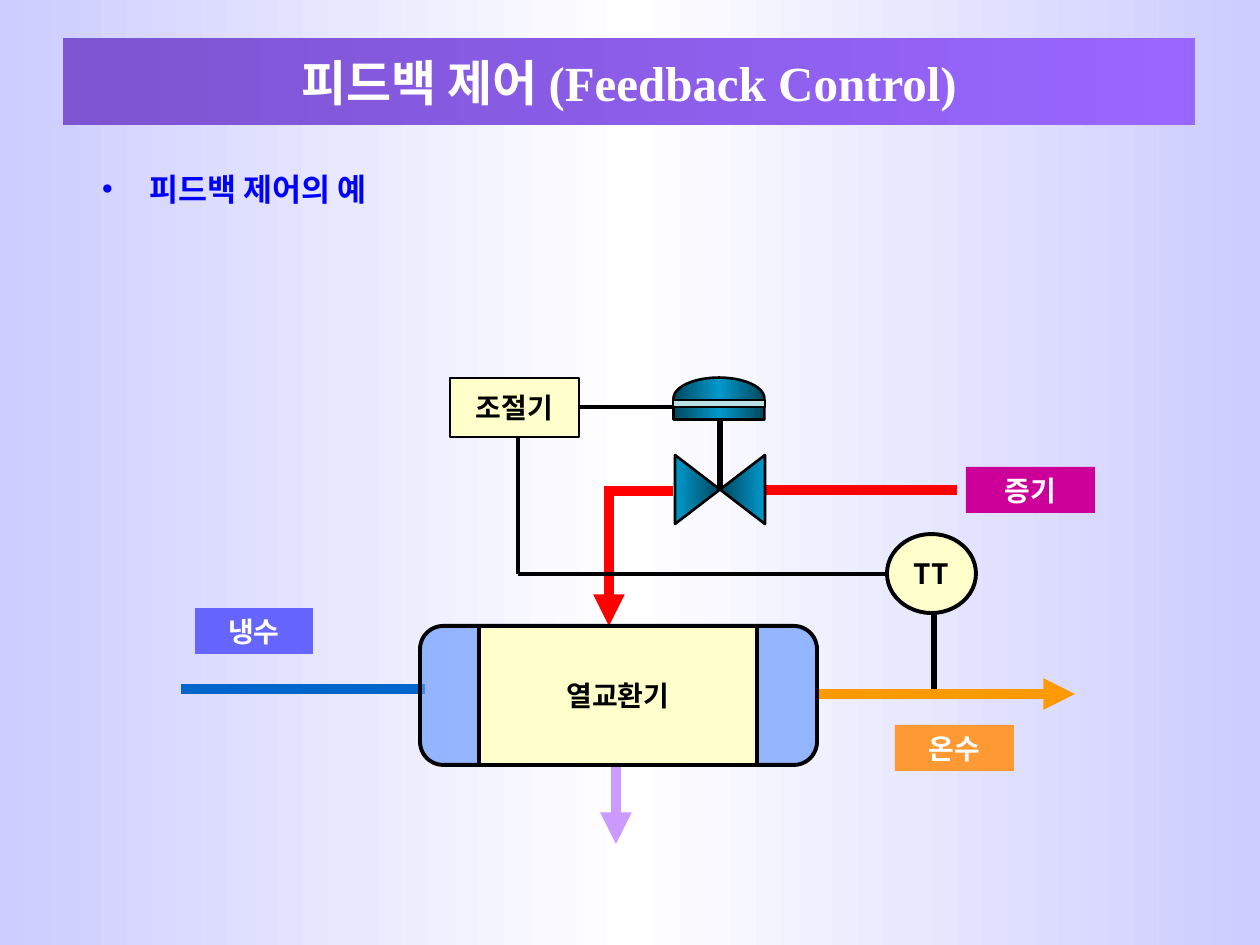
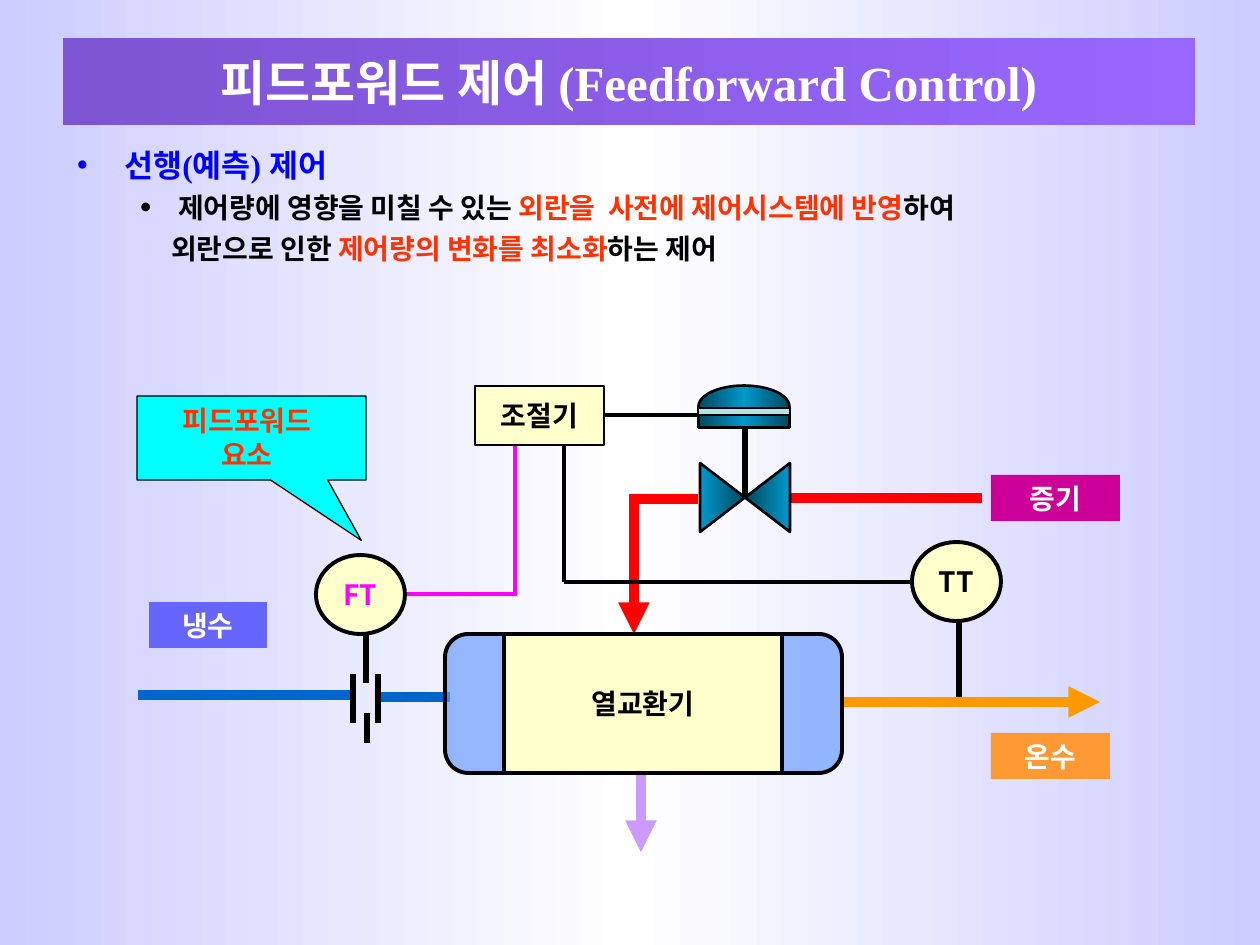
from typing import NamedTuple

from lxml import etree
from pptx import Presentation
from pptx.dml.color import RGBColor
from pptx.enum.shapes import MSO_CONNECTOR, MSO_SHAPE
from pptx.enum.text import MSO_ANCHOR, PP_ALIGN
from pptx.oxml.ns import qn
from pptx.util import Emu, Pt

RECT = MSO_SHAPE.RECTANGLE
OVAL = MSO_SHAPE.OVAL
TRIANGLE = MSO_SHAPE.ISOSCELES_TRIANGLE
DELAY = MSO_SHAPE.FLOWCHART_DELAY
VESSEL = MSO_SHAPE.FLOWCHART_ALTERNATE_PROCESS
CALLOUT = MSO_SHAPE.RECTANGULAR_CALLOUT
STRAIGHT = MSO_CONNECTOR.STRAIGHT
MIDDLE = MSO_ANCHOR.MIDDLE
CENTER, LEFT = PP_ALIGN.CENTER, PP_ALIGN.LEFT

PX_PER_INCH = 126
SANS, SERIF = "Noto Sans CJK KR", "Times New Roman"
COLORS = {
    "lavender": "CCCCFF", "white": "FFFFFF", "black": "000000",
    "band_dark": "7D54D1", "band_light": "9966FF", "blue": "0000FF",
    "accent": "FF3300", "cream": "FFFFCC", "head": "6699FF",
    "valve": "0099CC", "valve_dark": "00475E", "diaphragm": "BBE0E3",
    "steam": "FF0000", "cold": "0066CC", "hot": "FF9900", "drain": "CC99FF",
    "steam_tag": "CC0099", "cold_tag": "6666FF", "hot_tag": "FF9933",
    "magenta": "FF00FF", "cyan": "00FFFF",
}


class Pipe(NamedTuple):
    """A straight line, with an optional arrowhead at its end."""
    x1: int
    y1: int
    x2: int
    y2: int
    color: str = "black"
    width: float = 2.25
    arrow: bool = False


class Part(NamedTuple):
    """A preset shape; several fill colours make a gradient."""
    kind: int
    x: int
    y: int
    w: int
    h: int
    fills: tuple
    line: float = 0
    text: str = ""
    ink: str = "black"
    size: int = 16
    font: str = SANS
    angle: int = 0
    rotation: int = 0
    opacity: int = 100


class Para(NamedTuple):
    """A body paragraph of (text, colour) runs."""
    runs: tuple
    size: int
    margin: int
    indent: int
    before: float
    bullet: int = 0
    font: str = SANS


class Layout(NamedTuple):
    """What differs between the two control schemes."""
    title: str
    body_at: tuple
    paras: tuple
    shift: tuple
    signal_x: int
    cold_tag: tuple
    hot_tag: tuple
    pipes: tuple
    extras: tuple


def px(value: int) -> Emu:
    """Convert px to EMU."""
    return Emu(round(value * 914400 / PX_PER_INCH))


def rgb(name: str) -> RGBColor:
    """Look up a named colour."""
    return RGBColor.from_string(COLORS[name])


def sub(parent, tag: str, **attrs: str):
    """Append an XML element."""
    return etree.SubElement(parent, qn(tag), attrs)


def set_gradient(fill, element, names: tuple, angle: int) -> None:
    """Give a fill evenly spaced gradient stops."""
    fill.gradient()
    fill.gradient_angle = angle
    grad = next(element.iter(qn("a:gradFill")))
    grad.set("rotWithShape", "0")
    stops = grad.find(qn("a:gsLst"))
    for stop in list(stops):
        stops.remove(stop)
    for i, name in enumerate(names):
        stop = sub(stops, "a:gs", pos=str(100000 * i // (len(names) - 1)))
        sub(stop, "a:srgbClr", val=COLORS[name])


def set_font(p, size: int, color: str, font: str) -> None:
    """Set the bold font of a whole paragraph."""
    p.font.size = Pt(size)
    p.font.bold = True
    p.font.name = font
    p.font.color.rgb = rgb(color)
    sub(p._p.pPr.find(qn("a:defRPr")), "a:ea", typeface=SANS)


def write_centered(tf, text: str, size: int, color: str, font: str) -> None:
    """Write centred lines."""
    tf.vertical_anchor = MIDDLE
    tf.word_wrap = False
    for i, line in enumerate(text.split("\n")):
        p = tf.add_paragraph() if i else tf.paragraphs[0]
        p.text = line
        p.alignment = CENTER
        set_font(p, size, color, font)


def draw_pipe(s, pipe: Pipe, dx: int = 0, dy: int = 0) -> None:
    """Draw a line moved by dx, dy."""
    c = s.shapes.add_connector(STRAIGHT, px(pipe.x1 + dx), px(pipe.y1 + dy),
                               px(pipe.x2 + dx), px(pipe.y2 + dy))
    c.line.color.rgb = rgb(pipe.color)
    c.line.width = Pt(pipe.width)
    props = c._element.spPr
    if pipe.arrow:
        sub(props.find(qn("a:ln")), "a:tailEnd", type="triangle")
    sub(props, "a:effectLst")


def draw_part(s, part: Part, dx: int = 0, dy: int = 0):
    """Draw a shape moved by dx, dy."""
    sp = s.shapes.add_shape(part.kind, px(part.x + dx), px(part.y + dy),
                            px(part.w), px(part.h))
    sp.shadow.inherit = False
    sp.rotation = part.rotation
    if len(part.fills) > 1:
        set_gradient(sp.fill, sp._element, part.fills, part.angle)
    else:
        sp.fill.solid()
        sp.fill.fore_color.rgb = rgb(part.fills[0])
    if part.opacity < 100:
        clr = next(sp._element.spPr.iter(qn("a:srgbClr")))
        sub(clr, "a:alpha", val=str(part.opacity * 1000))
    if part.line:
        sp.line.color.rgb = rgb("black")
        sp.line.width = Pt(part.line)
    else:
        sp.line.fill.background()
    if part.text:
        write_centered(sp.text_frame, part.text, part.size, part.ink, part.font)
    return sp


def draw_body(s, at: tuple, paras: tuple) -> None:
    """Draw the bulleted text."""
    tf = s.shapes.add_textbox(*map(px, at)).text_frame
    tf.word_wrap = True
    for i, para in enumerate(paras):
        p = tf.add_paragraph() if i else tf.paragraphs[0]
        p.alignment = LEFT
        p.space_before = Pt(para.before)
        color = para.runs[0][1]
        set_font(p, para.size, color, para.font)
        for text, ink in para.runs:
            r = p.add_run()
            r.text = text
            if ink != color:
                r.font.color.rgb = rgb(ink)
        props = p._p.pPr
        props.set("marL", str(px(para.margin)))
        props.set("indent", str(px(para.indent)))
        if para.bullet:
            marks = [sub(props, "a:buClr"),
                     sub(props, "a:buSzPct", val=str(para.bullet * 1000)),
                     sub(props, "a:buFont", typeface=SERIF),
                     sub(props, "a:buChar", char="•")]
            sub(marks[0], "a:srgbClr", val=COLORS[color])
            for mark in marks:
                props.find(qn("a:defRPr")).addprevious(mark)


def transmitter(x: int, y: int, text: str, ink: str) -> Part:
    """Describe a round transmitter."""
    return Part(OVAL, x, y, 89, 79, ("cream",), 2.25, text, ink)


def tag(x: int, y: int, w: int, color: str, text: str) -> Part:
    """Describe a stream label."""
    return Part(RECT, x, y, w, 46, (color,), text=text, ink="white")


PLANT_PIPES = (
    Pipe(578, 407, 678, 407),
    Pipe(934, 614, 934, 689, width=3),
    Pipe(616, 765, 616, 844, "drain", 6, True),
    Pipe(816, 694, 1075, 694, "hot", 6, True),
    Pipe(762, 490, 957, 490, "steam", 6),
    Pipe(609, 486, 609, 626, "steam", 6, True),
    Pipe(614, 491, 673, 491, "steam", 6),
    Pipe(720, 420, 720, 490, width=3),
)
PLANT_PARTS = (
    Part(VESSEL, 420, 626, 397, 139, ("head",), 2.25, opacity=67),
    Part(RECT, 479, 626, 278, 139, ("cream",), 2.25, "열교환기"),
    Part(TRIANGLE, 708, 467, 69, 45, ("valve", "valve_dark"), 1.5,
         angle=180, rotation=270),
    Part(TRIANGLE, 663, 467, 69, 45, ("valve", "valve_dark"), 1.5, rotation=90),
    Part(DELAY, 698, 353, 42, 91, ("valve_dark", "valve", "valve_dark"), 1.5,
         angle=180, rotation=270),
    Part(RECT, 673, 400, 92, 7, ("diaphragm",), 1.5),
    transmitter(887, 534, "TT", "black"),
    Part(RECT, 450, 378, 129, 59, ("cream",), 1.5, "조절기"),
    tag(966, 467, 129, "steam_tag", "증기"),
)
FEEDBACK = Layout(
    "피드백 제어 (Feedback Control)", (89, 164, 1131, 180),
    (Para((("피드백 제어의 예", "blue"),), 18, 48, -48, 4.5, 110),),
    (0, 0), 518, (195, 608), (895, 725),
    (Pipe(181, 689, 425, 689, "cold", 6),), (),
)
FEEDFORWARD = Layout(
    "피드포워드 제어 (Feedforward Control)", (64, 140, 1131, 171),
    (Para((("선행(예측) 제어", "blue"),), 18, 48, -48, 4.5, 110, SERIF),
     Para((("제어량에 영향을 미칠 수 있는 ", "black"),
           ("외란을  사전에 제어시스템에 반영", "accent"),
           ("하여", "black")), 16, 102, -39, 4, 130),
     Para((("외란으로 인한 ", "black"), ("제어량의 변화를 최소화", "accent"),
           ("하는 제어", "black")), 16, 95, 0, 4)),
    (25, 8), 564, (149, 602), (991, 733),
    (Pipe(396, 594, 515, 594, "magenta"),
     Pipe(515, 437, 515, 596, "magenta"),
     Pipe(375, 697, 450, 697, "cold", 6),
     Pipe(138, 695, 350, 695, "cold", 6),
     Pipe(378, 674, 378, 723, width=3),
     Pipe(353, 674, 353, 723, width=3),
     Pipe(367, 713, 367, 743, width=3),
     Pipe(366, 585, 366, 683, width=3)),
    (transmitter(316, 555, "FT", "magenta"),),
)


def add_scheme(prs, layout: Layout):
    """Add a slide with one control scheme."""
    s = prs.slides.add_slide(prs.slide_layouts[6])
    set_gradient(s.background.fill, s._element, ("lavender", "white", "lavender"), 0)
    draw_body(s, layout.body_at, layout.paras)
    dx, dy = layout.shift
    x, y = layout.signal_x, 574 + dy
    for pipe in layout.pipes:
        draw_pipe(s, pipe)
    for pipe in PLANT_PIPES:
        draw_pipe(s, pipe, dx, dy)
    draw_pipe(s, Pipe(x, 425 + dy, x, y))
    draw_pipe(s, Pipe(x, y, 887 + dx, y))
    for part in PLANT_PARTS:
        draw_part(s, part, dx, dy)
    for part in layout.extras + (
            tag(*layout.cold_tag, 118, "cold_tag", "냉수"),
            tag(*layout.hot_tag, 119, "hot_tag", "온수"),
            Part(RECT, 63, 38, 1132, 87, ("band_dark", "band_light"),
                 text=layout.title, ink="white", size=28, font=SERIF)):
        draw_part(s, part)
    return s


def add_callout(s) -> None:
    """Point out the feedforward element."""
    sp = draw_part(s, Part(CALLOUT, 137, 396, 229, 84, ("cyan",), 0.75))
    sp.adjustments[0], sp.adjustments[1] = 0.48, 1.22
    tf = s.shapes.add_textbox(px(170), px(397), px(154), px(81)).text_frame
    write_centered(tf, "피드포워드\n요소", 16, "accent", SANS)


def main() -> None:
    """Build and save the presentation."""
    prs = Presentation()
    prs.slide_width, prs.slide_height = px(1260), px(945)
    add_scheme(prs, FEEDBACK)
    add_callout(add_scheme(prs, FEEDFORWARD))
    prs.save("out.pptx")


if __name__ == "__main__":
    main()
